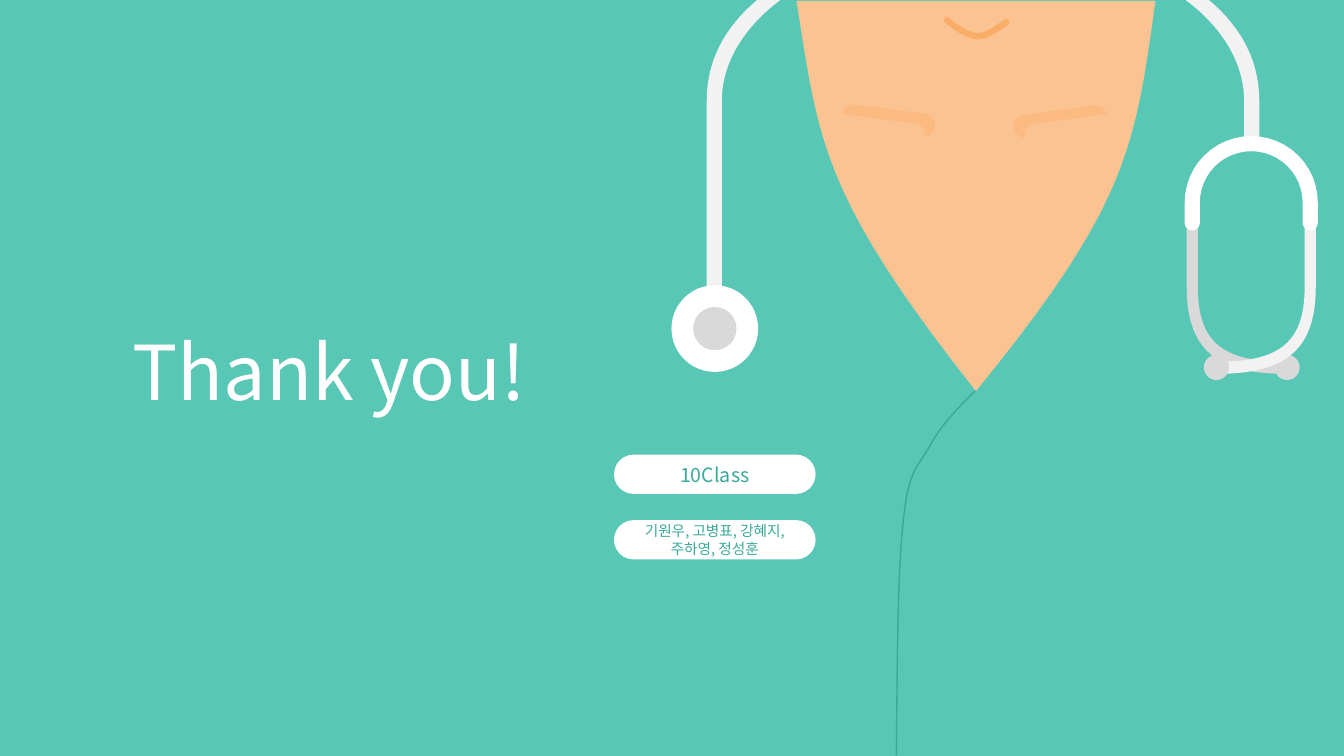
import math
from dataclasses import dataclass

import lxml.etree
import pptx
import pptx.dml.color
import pptx.enum.shapes
import pptx.enum.text
import pptx.oxml.ns
import pptx.util

Inches = pptx.util.Inches
Pt = pptx.util.Pt
Preset = pptx.enum.shapes.MSO_SHAPE
qn = pptx.oxml.ns.qn


@dataclass(frozen=True)
class Theme:
    scrubs: str = "59C7B6"
    seam: str = "39A999"
    skin: str = "FBC392"
    crease: str = "F9AD67"
    white: str = "FFFFFF"
    tube: str = "F2F2F2"
    metal: str = "D9D9D9"
    font: str = "Noto Sans CJK KR"
    title_size: float = 54
    class_size: float = 14
    names_size: float = 10.5


THEME = Theme()


def rgb(code):
    return pptx.dml.color.RGBColor.from_string(code)


def curve(start, pull, push, end, steps=20):
    points = []
    for step in range(steps + 1):
        t = step / steps
        weights = ((1 - t) ** 3, 3 * t * (1 - t) ** 2, 3 * t * t * (1 - t), t ** 3)
        points.append(tuple(
            sum(weight * point[axis] for weight, point in zip(weights, (start, pull, push, end)))
            for axis in (0, 1)))
    return points


def arc(x, y, radius, first, last, steps=24):
    angles = [math.radians(first + (last - first) * step / steps) for step in range(steps + 1)]
    return [(x + radius * math.cos(angle), y + radius * math.sin(angle)) for angle in angles]


def mirror(points, width):
    return [(width - x, y) for x, y in points]


def outline(slide, left, top, points, closed=True):
    places = [(Inches(left + x), Inches(top + y)) for x, y in points]
    builder = slide.shapes.build_freeform(*places[0])
    builder.add_line_segments(places[1:], close=closed)
    drawn = builder.convert_to_shape()
    drawn.shadow.inherit = False
    return drawn


def paint(drawn, color):
    drawn.fill.solid()
    drawn.fill.fore_color.rgb = rgb(color)
    drawn.line.fill.background()


def stroke(drawn, color, weight):
    drawn.fill.background()
    drawn.line.color.rgb = rgb(color)
    drawn.line.width = Pt(weight)
    drawn.line._get_or_add_ln().set("cap", "rnd")


def preset(slide, kind, left, top, width, height, color):
    drawn = slide.shapes.add_shape(kind, Inches(left), Inches(top), Inches(width), Inches(height))
    drawn.shadow.inherit = False
    if kind == Preset.ROUNDED_RECTANGLE:
        drawn.adjustments[0] = 0.5
    paint(drawn, color)
    return drawn


def write(frame, words, size, color):
    frame.text = words
    frame.word_wrap = True
    paragraph = frame.paragraphs[0]
    paragraph.alignment = pptx.enum.text.PP_ALIGN.CENTER
    for run in paragraph.runs:
        run.font.name = THEME.font
        run.font.size = Pt(size)
        run.font.color.rgb = rgb(color)
        east_asian = lxml.etree.SubElement(run._r.get_or_add_rPr(), qn("a:ea"))
        east_asian.set("typeface", THEME.font)
    return paragraph


def cast_shadow(drawn, direction):
    effects = drawn._element.spPr.find(qn("a:effectLst"))
    shadow = lxml.etree.SubElement(
        effects, qn("a:outerShdw"), blurRad="0", dist=str(Pt(10)),
        dir=str(direction * 60000), algn="ctr", rotWithShape="0")
    tint = lxml.etree.SubElement(shadow, qn("a:srgbClr"), val=THEME.crease)
    lxml.etree.SubElement(tint, qn("a:alpha"), val="40000")


def draw_neckline(slide, left, top):
    side = curve((0, 0), (0.22, 1.37), (0.23, 1.91), (1.78, 3.87))
    other_side = curve((1.78, 3.87), (3.29, 2.02), (3.36, 1.45), (3.56, 0))
    paint(outline(slide, left, top, side + other_side), THEME.skin)


def draw_chest(slide, left, top):
    smile = (curve((1.49, 0.19), (1.59, 0.27), (1.69, 0.34), (1.79, 0.35))
             + curve((1.79, 0.35), (1.88, 0.35), (1.98, 0.28), (2.08, 0.21))[1:])
    stroke(outline(slide, left, top, smile, closed=False), THEME.crease, 4.5)
    for x, tilt, direction in ((0.35, 7.4, 315), (2.26, -7.4, 220)):
        collarbone = preset(slide, Preset.ROUNDED_RECTANGLE, left + x, top + 1.17,
                            0.93, 0.23, THEME.skin)
        collarbone.rotation = tilt
        cast_shadow(collarbone, direction)


def draw_seam(slide, left, top):
    seam = (curve((0.78, 0), (0.59, 0.19), (0.46, 0.32), (0.34, 0.53))
            + curve((0.34, 0.53), (0.22, 0.75), (0.12, 0.77), (0.07, 1.28))[1:]
            + curve((0.07, 1.28), (0.01, 1.79), (0.01, 2.7), (0, 3.61))[1:])
    stroke(outline(slide, left, top, seam, closed=False), THEME.seam, 1)


def draw_tubes(slide, left, top, width):
    inner = curve((0.73, 0), (0.37, 0.27), (0.15, 0.62), (0.15, 1))
    outer = curve((0, 1), (0, 0.6), (0.18, 0.27), (0.5, 0))
    left_tube = inner + [(0.15, 3.51), (0, 3.51)] + outer
    right_tube = mirror(inner + [(0.15, 1.47), (0, 1.47)] + outer, width)
    for tube in (left_tube, right_tube):
        paint(outline(slide, left, top, tube), THEME.tube)


def draw_chestpiece(slide, left, top, size):
    for diameter, color in ((size, THEME.white), (size / 2, THEME.metal)):
        inset = (size - diameter) / 2
        preset(slide, Preset.OVAL, left + inset, top + inset, diameter, diameter, color)


def draw_headset(slide, left, top, width):
    outer = curve((0.02, 1.5), (0.02, 2.15), (0.35, 2.36), (1.01, 2.36))
    inner = curve((1.01, 2.24), (0.4, 2.24), (0.13, 2.07), (0.13, 1.5))
    arm = [(0.02, 0.86)] + outer + inner + [(0.13, 0.86)]
    tip = 0.25
    for points, color, tip_left in ((arm, THEME.metal, 0.89),
                                    (mirror(arm, width), THEME.tube, 0.19)):
        paint(outline(slide, left, top, points), color)
        preset(slide, Preset.OVAL, left + tip_left, top + 2.17, tip, tip, THEME.metal)
    radius, thickness, shoulder, end = width / 2, 0.15, 0.66, 0.86
    cap = thickness / 2
    band = (arc(radius, shoulder, radius, 180, 360)
            + arc(width - cap, end, cap, 0, 180)
            + arc(radius, shoulder, radius - thickness, 360, 180)
            + arc(cap, end, cap, 0, 180))
    paint(outline(slide, left, top, band), THEME.white)


def place_title(slide, left, top, width, height):
    title = slide.shapes.title
    title.left, title.top = Inches(left), Inches(top)
    title.width, title.height = Inches(width), Inches(height)
    thanks = write(title.text_frame, "Thank you!", THEME.title_size, THEME.white)
    thanks.line_spacing = 1.5
    title.text_frame.vertical_anchor = pptx.enum.text.MSO_ANCHOR.TOP
    title.text_frame.auto_size = pptx.enum.text.MSO_AUTO_SIZE.NONE


def draw_badges(slide, left, top, width):
    badges = (("10Class", THEME.class_size),
              ("기원우, 고병표, 강혜지, 주하영, 정성훈", THEME.names_size))
    for row, (words, size) in enumerate(badges):
        badge = preset(slide, Preset.ROUNDED_RECTANGLE, left, top + row * 0.65,
                       width, 0.39, THEME.white)
        write(badge.text_frame, words, size, THEME.seam)
        badge.text_frame.vertical_anchor = pptx.enum.text.MSO_ANCHOR.MIDDLE


def build_closing_slide(deck):
    slide = deck.slides.add_slide(deck.slide_layouts[5])
    slide.background.fill.solid()
    slide.background.fill.fore_color.rgb = rgb(THEME.scrubs)
    draw_neckline(slide, 7.9, 0.01)
    draw_tubes(slide, 7.01, 0, 5.48)
    draw_chestpiece(slide, 6.66, 2.83, 0.86)
    draw_headset(slide, 11.75, 1.35, 1.32)
    place_title(slide, 0, 2.72, 6.53, 1.33)
    draw_badges(slide, 6.09, 4.51, 2)
    draw_chest(slide, 7.9, 0.01)
    draw_seam(slide, 8.89, 3.88)


def main():
    deck = pptx.Presentation()
    deck.slide_width, deck.slide_height = Inches(13.33), Inches(7.5)
    build_closing_slide(deck)
    deck.save("out.pptx")


if __name__ == "__main__":
    main()
